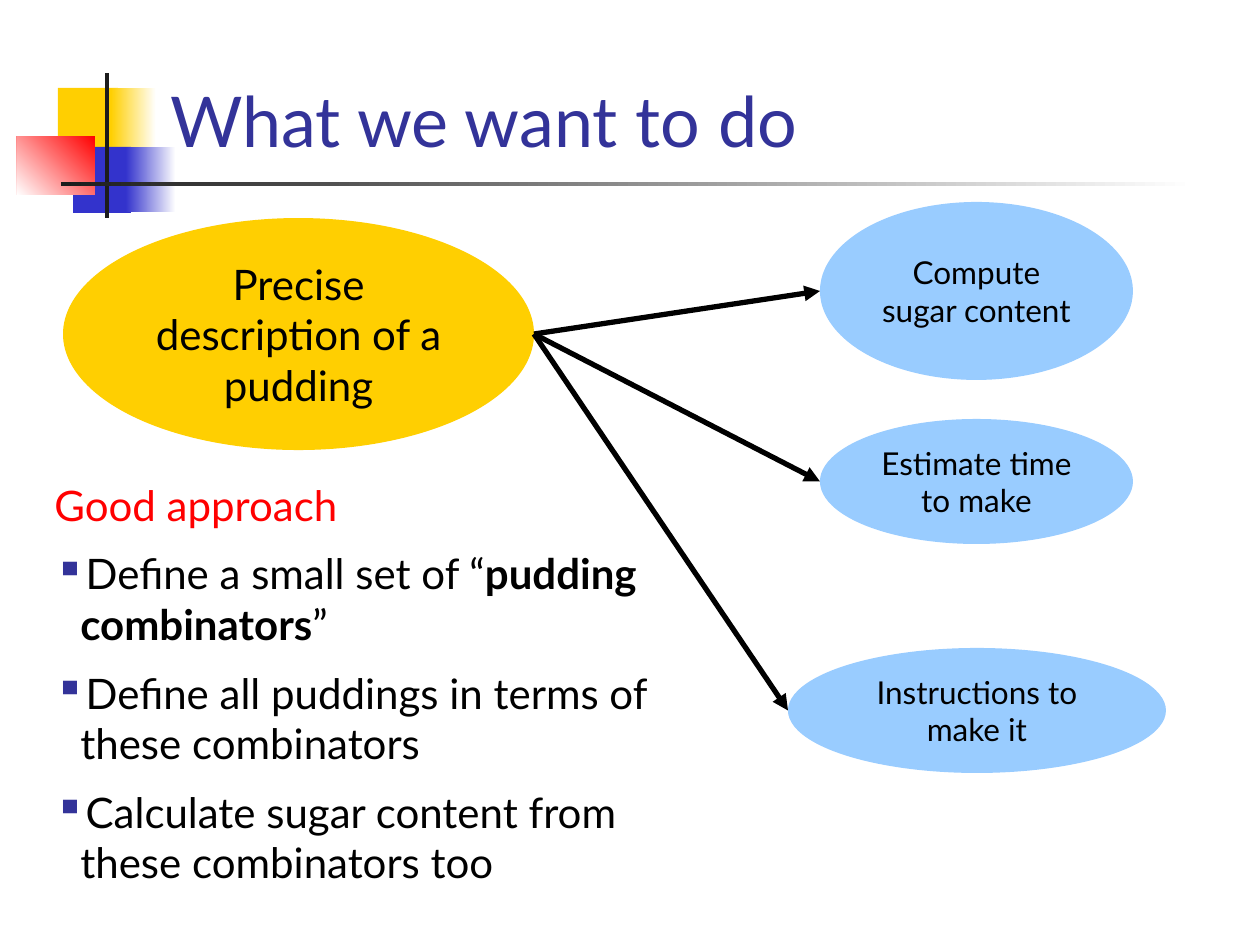
from dataclasses import dataclass

from lxml.etree import SubElement
from pptx import Presentation
from pptx.dml.color import RGBColor
from pptx.enum.shapes import MSO_CONNECTOR, MSO_SHAPE
from pptx.enum.text import MSO_ANCHOR, PP_ALIGN
from pptx.oxml.ns import qn
from pptx.util import Pt

EMU_PER_PX = 914400 / 126


@dataclass(frozen=True)
class Theme:
    font: str = "Lato"
    title_size: int = 40
    body_size: int = 24
    label_size: int = 18
    arrow_width: int = 3
    paragraph_gap: float = 10.5
    yellow: str = "FFCF01"
    blue: str = "3333CC"
    red: str = "FF0000"
    dark: str = "1C1C1C"
    navy: str = "333399"
    sky: str = "99CCFF"
    black: str = "000000"
    white: str = "FFFFFF"


THEME = Theme()


def px(length):
    return round(length * EMU_PER_PX)


def rgb(value):
    return RGBColor.from_string(value)


def add_filled(slide, preset, box, color, fade_angle=None):
    """Add a borderless shape; fade_angle makes its colour fade to white."""
    shape = slide.shapes.add_shape(preset, *map(px, box))
    shape.shadow.inherit = False
    shape.line.fill.background()
    if fade_angle is None:
        shape.fill.solid()
        shape.fill.fore_color.rgb = rgb(color)
    else:
        shape.fill.gradient()
        shape.fill.gradient_angle = fade_angle
        for stop, stop_color in zip(shape.fill.gradient_stops, (color, THEME.white)):
            stop.color.rgb = rgb(stop_color)
    return shape


def add_bullet(paragraph, indent=26):
    properties = paragraph._p.get_or_add_pPr()
    properties.set("marL", str(px(indent)))
    properties.set("indent", str(-px(indent)))
    bullet_color = SubElement(properties, qn("a:buClr"))
    SubElement(bullet_color, qn("a:srgbClr")).set("val", THEME.navy)
    SubElement(properties, qn("a:buChar")).set("char", "▪")


def write(paragraph, *pieces, size, color=THEME.black, align=PP_ALIGN.LEFT,
          space_before=0, bullet=False, bold=()):
    """Write the pieces as runs; those listed in bold are set bold."""
    paragraph.alignment = align
    paragraph.space_before = Pt(space_before)
    if bullet:
        add_bullet(paragraph)
    for piece in pieces:
        run = paragraph.add_run()
        run.text = piece
        run.font.name = THEME.font
        run.font.size = Pt(size)
        run.font.bold = piece in bold
        run.font.color.rgb = rgb(color)


def add_text_frame(slide, box, anchor=MSO_ANCHOR.TOP):
    frame = slide.shapes.add_textbox(*map(px, box)).text_frame
    frame.word_wrap = True
    frame.vertical_anchor = anchor
    return frame


def add_ellipse(slide, box, label, color, size):
    frame = add_filled(slide, MSO_SHAPE.OVAL, box, color).text_frame
    frame.word_wrap = True
    frame.vertical_anchor = MSO_ANCHOR.MIDDLE
    write(frame.paragraphs[0], label, size=size, align=PP_ALIGN.CENTER)


def add_arrow(slide, source, target):
    """Join the right end of the source box to the left end of the target box."""
    left, top, width, height = source
    start = left + width, top + height / 2
    end = target[0], target[1] + target[3] / 2
    arrow = slide.shapes.add_connector(MSO_CONNECTOR.STRAIGHT, *map(px, start + end))
    arrow.line.color.rgb = rgb(THEME.black)
    arrow.line.width = Pt(THEME.arrow_width)
    SubElement(arrow.line._get_or_add_ln(), qn("a:tailEnd")).set("type", "triangle")
    SubElement(arrow._element.spPr, qn("a:effectLst"))


def add_corner_motif(slide):
    for box, color, fade_angle in (
        ((58, 88, 60, 66), THEME.yellow, None),
        ((111, 88, 45, 66), THEME.yellow, 0),
        ((73, 147, 58, 66), THEME.blue, None),
        ((126, 147, 50, 65), THEME.blue, 0),
        ((17, 136, 78, 59), THEME.red, 225),
        ((105, 73, 4, 145), THEME.dark, None),
        ((61, 182, 1134, 4), THEME.dark, 0),
    ):
        add_filled(slide, MSO_SHAPE.RECTANGLE, box, color, fade_angle)


def add_diagram(slide):
    description = (63, 218, 471, 232)
    uses = (
        ("Compute sugar content", (820, 202, 313, 178)),
        ("Estimate time to make", (820, 419, 313, 125)),
        ("Instructions to make it", (788, 648, 378, 125)),
    )
    add_ellipse(slide, description, "Precise description of a pudding",
                THEME.yellow, THEME.body_size)
    for label, box in uses:
        add_ellipse(slide, box, label, THEME.sky, THEME.label_size)
    for _, box in uses:
        add_arrow(slide, description, box)


def add_approach(slide):
    frame = add_text_frame(slide, (42, 473, 643, 421))
    write(frame.paragraphs[0], "Good approach", size=THEME.body_size, color=THEME.red)
    for pieces in (
        ("Define a small set of “", "pudding combinators", "”"),
        ("Define all puddings in terms of these combinators",),
        ("Calculate sugar content from these combinators too",),
    ):
        write(frame.add_paragraph(), *pieces, size=THEME.body_size, bullet=True,
              space_before=THEME.paragraph_gap, bold=("pudding combinators",))


def main():
    presentation = Presentation()
    presentation.slide_width, presentation.slide_height = px(1260), px(945)
    slide = presentation.slides.add_slide(presentation.slide_layouts[6])
    add_corner_motif(slide)
    title = add_text_frame(slide, (158, 10, 1074, 158), anchor=MSO_ANCHOR.BOTTOM)
    write(title.paragraphs[0], "What we want to do",
          size=THEME.title_size, color=THEME.navy)
    add_diagram(slide)
    add_approach(slide)
    presentation.save("out.pptx")


if __name__ == "__main__":
    main()
